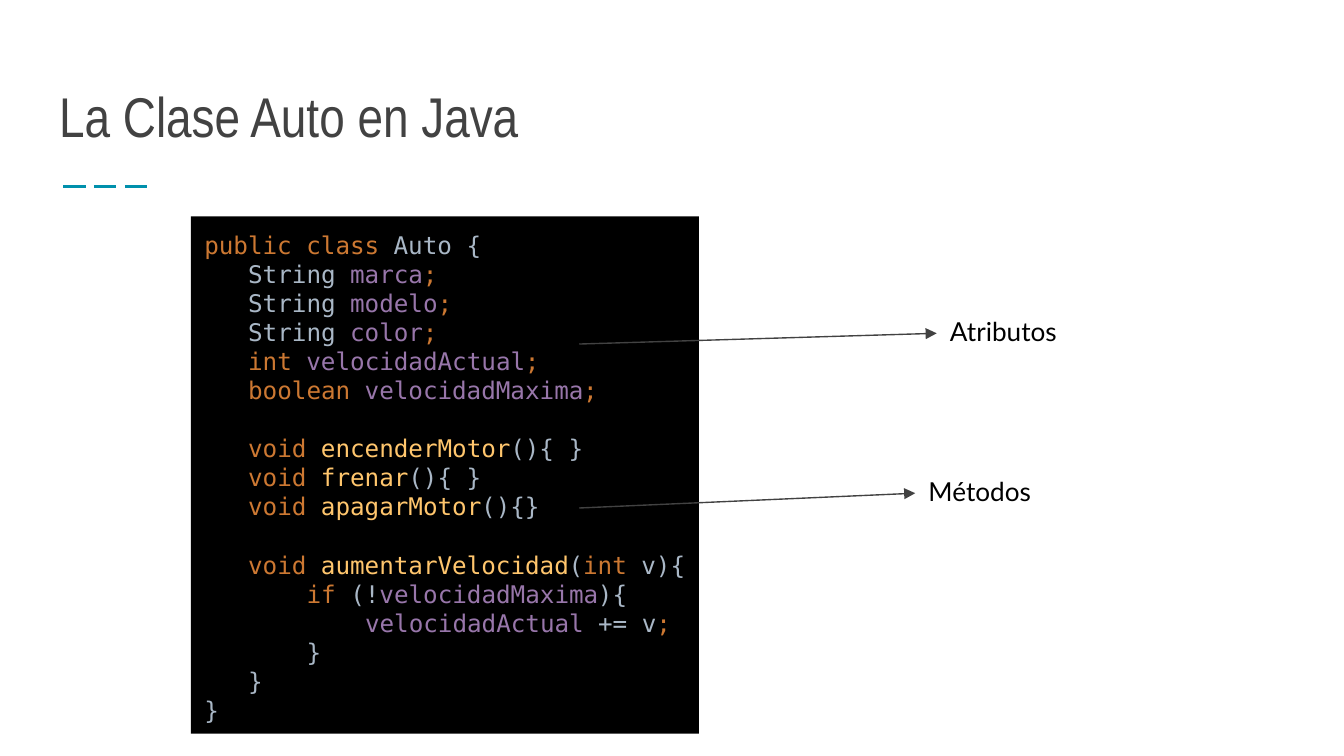
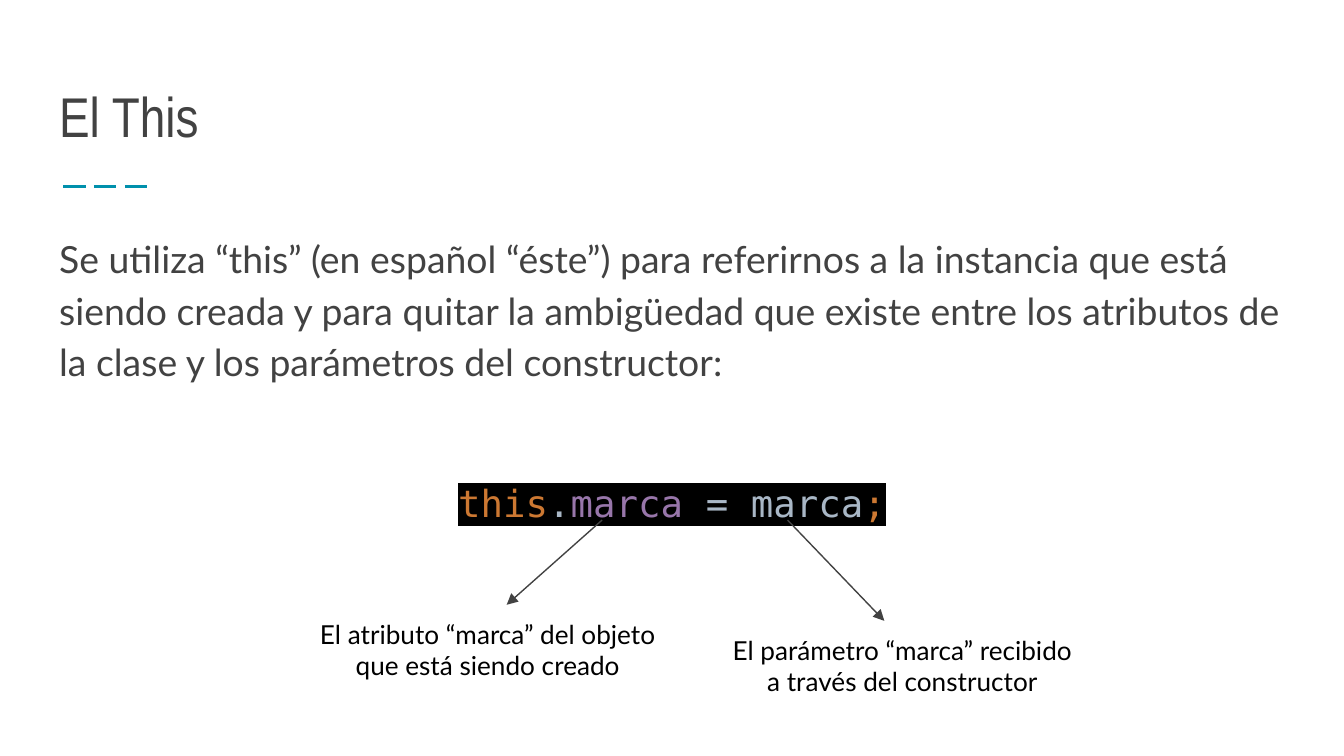
from lxml.etree import SubElement as Sub
from pptx import Presentation
from pptx.dml.color import RGBColor
from pptx.enum.dml import MSO_LINE as Dash
from pptx.enum.shapes import MSO_CONNECTOR as Conn
from pptx.enum.text import MSO_ANCHOR as Anchor, MSO_AUTO_SIZE as Fit, PP_ALIGN as Align
from pptx.oxml import parse_xml
from pptx.oxml.ns import nsdecls, qn
from pptx.util import Inches, Pt

DARK, TEAL, BLACK = "424242", "0090AC", "000000"
KEY, PLAIN, FIELD, FUNC = "CC7832", "A9B7C6", "9876AA", "FFC66D"
SANS, MONO, HEAD = "Lato", "DejaVu Sans Mono", "Arial Narrow"
rgb = RGBColor.from_string


def add_run(para, text, font, size, color, back=None):
    run = para.add_run()
    run.text = text
    run.font.name, run.font.size = font, Pt(size)
    run.font.color.rgb = rgb(color)
    if back:
        mark = parse_xml(f'<a:highlight {nsdecls("a")}><a:srgbClr val="{back}"/></a:highlight>')
        run.font._element.find(qn("a:solidFill")).addnext(mark)


def add_line(slide, start, end, color, width, arrow=True):
    ends = [Inches(n) for n in (*start, *end)]
    line = slide.shapes.add_connector(Conn.STRAIGHT, *ends)
    line.line.color.rgb = rgb(color)
    line.line.width = Pt(width)
    if arrow:
        Sub(line.line._get_or_add_ln(), qn("a:tailEnd"), type="triangle")
    Sub(line._element.spPr, qn("a:effectLst"))
    return line


deck = Presentation()
deck.slide_width, deck.slide_height = Inches(10), Inches(10 * 9 / 16)
layout = deck.slide_layouts[1]

# Titles and the dashed rule
slides = []
for name in ("La Clase Auto en Java", "El This"):
    slide = deck.slides.add_slide(layout)
    title = slide.shapes.title
    title.left, title.top = Inches(0.34), Inches(0.41)
    title.width, title.height = Inches(9.32), Inches(0.8)
    title.text_frame.vertical_anchor = Anchor.BOTTOM
    para = title.text_frame.paragraphs[0]
    para.alignment = Align.LEFT
    add_run(para, name, HEAD, 30, DARK)
    rule = add_line(slide, (0.47, 1.39), (1.14, 1.39), TEAL, 1.5, arrow=False)
    rule.line.dash_style = Dash.LONG_DASH
    slides.append(slide)
first, second = slides

# Slide 1: indent in characters, then the coloured parts of each line
code = [
    (0, [("public class ", KEY), ("Auto {", PLAIN)]),
    (3, [("String ", PLAIN), ("marca", FIELD), (";", KEY)]),
    (3, [("String ", PLAIN), ("modelo", FIELD), (";", KEY)]),
    (3, [("String ", PLAIN), ("color", FIELD), (";", KEY)]),
    (3, [("int ", KEY), ("velocidadActual", FIELD), (";", KEY)]),
    (3, [("boolean ", KEY), ("velocidadMaxima", FIELD), (";", KEY)]),
    (3, [("void ", KEY), ("encenderMotor", FUNC), ("(){ }", PLAIN)]),
    (3, [("void ", KEY), ("frenar", FUNC), ("(){ }", PLAIN)]),
    (3, [("void ", KEY), ("apagarMotor", FUNC), ("(){}", PLAIN)]),
    (3, [("void ", KEY), ("aumentarVelocidad", FUNC), ("(", PLAIN), ("int ", KEY), ("v){", PLAIN)]),
    (7, [("if ", KEY), ("(!", PLAIN), ("velocidadMaxima", FIELD), ("){", PLAIN)]),
    (11, [("velocidadActual ", FIELD), ("+= v", PLAIN), (";", KEY)]),
    (7, [("}", PLAIN)]),
    (3, [("}", PLAIN)]),
    (0, [("}", PLAIN)]),
]
gaps = (6, 9)
pitch, char = Pt(15.6), Pt(7.83)

body = first.placeholders[1]
body.left, body.top = Inches(1.42), Inches(1.61)
body.width, body.height = Inches(3.78), Inches(3.85)
body.fill.solid()
body.fill.fore_color.rgb = rgb(BLACK)
frame = body.text_frame
for row, (indent, parts) in enumerate(code):
    para = frame.add_paragraph() if row else frame.paragraphs[0]
    para.line_spacing = pitch
    para.space_before = pitch if row in gaps else Pt(0)
    para._p.get_or_add_pPr().set("marL", str(indent * char))
    for text, color in parts:
        add_run(para, text, MONO, 13, color, BLACK)

# Slide 2: the explanation and the line of code
body = second.placeholders[1]
body.left, body.top = Inches(0.34), Inches(1.61)
body.width, body.height = Inches(9.32), Inches(3.39)
para = body.text_frame.paragraphs[0]
para.space_before = Pt(0)
add_run(para, "Se utiliza “this” (en español “éste”) para referirnos a la instancia "
        "que está siendo creada y para quitar la ambigüedad que existe entre los "
        "atributos de la clase y los parámetros del constructor:", SANS, 20, DARK)
para = body.text_frame.add_paragraph()
para.alignment = Align.CENTER
para.space_before = Pt(47.6)
for text, color in [("this", KEY), (".", PLAIN), ("marca ", FIELD), ("= marca", PLAIN), (";", KEY)]:
    add_run(para, text, MONO, 20, color, BLACK)
for para in body.text_frame.paragraphs:
    para.line_spacing = 1.15
    para._p.get_or_add_pPr().set("marL", "0")

# Labels, each with its arrow
labels = [
    (first, (6.97, 2.25, 2.6, 0.46), ["Atributos"], (4.31, 2.56), (6.97, 2.48)),
    (first, (6.81, 3.44, 2.6, 0.46), ["Métodos"], (4.31, 3.78), (6.81, 3.67)),
    (second, (2.26, 4.5, 2.74, 0.76), ["El atributo “marca” del objeto que está siendo creado"],
     (4.48, 3.87), (3.77, 4.5)),
    (second, (4.95, 4.62, 3.53, 0.76), ["El parámetro “marca” recibido", "a través del constructor"],
     (5.86, 3.87), (6.58, 4.62)),
]
for slide, place, lines, start, end in labels:
    arrow = add_line(slide, start, end, DARK, 0.75)
    box = slide.shapes.add_textbox(*[Inches(n) for n in place])
    for row, text in enumerate(lines):
        para = box.text_frame.add_paragraph() if row else box.text_frame.paragraphs[0]
        para.alignment = Align.LEFT if slide is first else Align.CENTER
        add_run(para, text, SANS, 14, BLACK)
    if slide is first:
        arrow.end_connect(box, 1)

# Insets, wrapping and bullets
for slide in slides:
    for shape in slide.shapes:
        if not shape.has_text_frame:
            continue
        frame = shape.text_frame
        frame.word_wrap, frame.auto_size = True, Fit.NONE
        frame.margin_left = frame.margin_right = Inches(0.1)
        frame.margin_top = frame.margin_bottom = Inches(0.1)
        if shape.is_placeholder and shape != slide.shapes.title:
            for para in frame.paragraphs:
                props = para._p.get_or_add_pPr()
                props.set("indent", "0")
                Sub(props, qn("a:buNone"))

deck.save("out.pptx")
